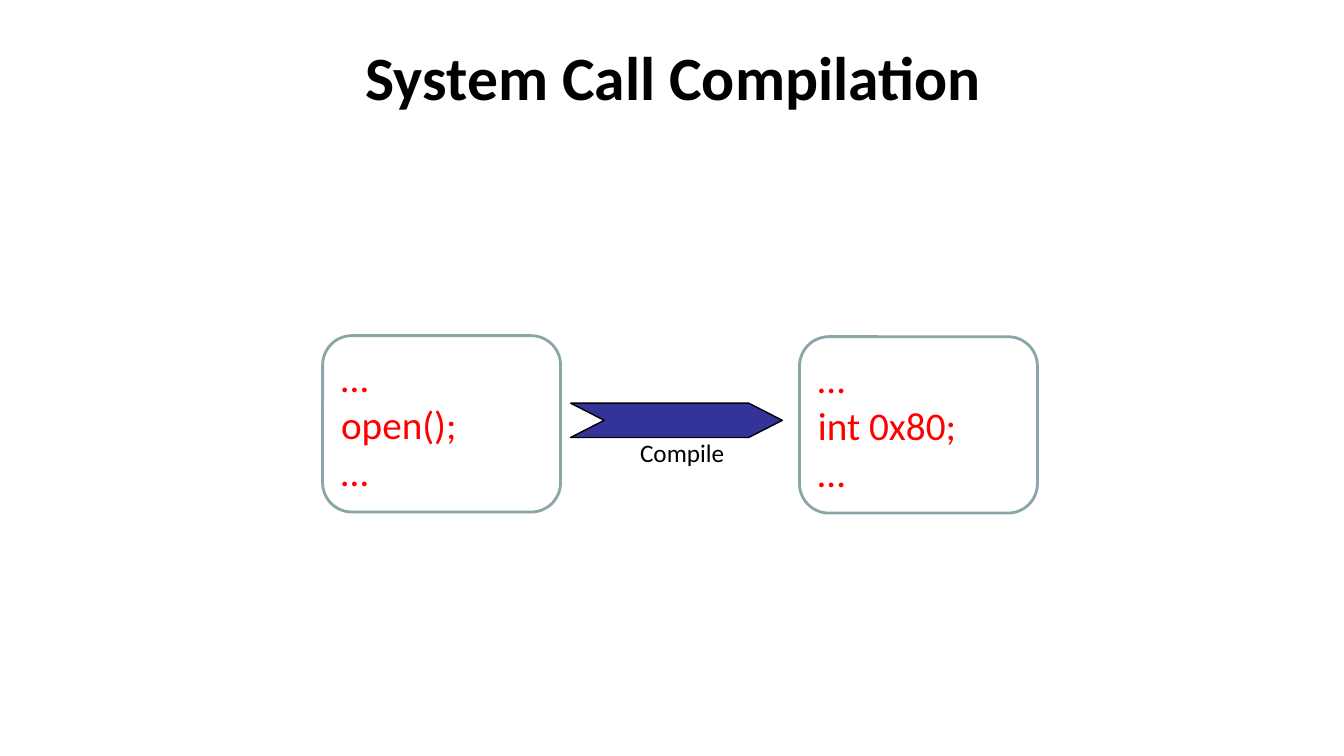
from pptx import Presentation
from pptx.dml.color import RGBColor
from pptx.enum.shapes import MSO_SHAPE
from pptx.enum.text import MSO_ANCHOR, MSO_AUTO_SIZE, PP_ALIGN
from pptx.util import Emu, Pt

ROUND, CHEVRON = MSO_SHAPE.ROUNDED_RECTANGLE, MSO_SHAPE.CHEVRON
TOP, MIDDLE = MSO_ANCHOR.TOP, MSO_ANCHOR.MIDDLE
LEFT, CENTER = PP_ALIGN.LEFT, PP_ALIGN.CENTER
FIT_SHAPE = MSO_AUTO_SIZE.SHAPE_TO_FIT_TEXT

PX = 9144  # 100 px to the inch
FONT = "Calibri"
COLORS = {"black": "000000", "code": "FF0000", "arrow": "333399", "frame": "8AA6A8"}


def px(*lengths):
    return [Emu(n * PX) for n in lengths]


def color(name):
    return RGBColor.from_string(COLORS[name])


class SlideBuilder:
    def __init__(self, prs):
        self.slide = prs.slides.add_slide(prs.slide_layouts[5])
        self.shapes = self.slide.shapes

    def set_text(self, sp, text, size, ink, align=LEFT, anchor=MIDDLE, bold=False):
        tf = sp.text_frame
        tf.text = text
        tf.vertical_anchor = anchor
        for p in tf.paragraphs:
            p.alignment = align
            for r in p.runs:
                r.font.name, r.font.size, r.font.bold = FONT, Pt(size), bold
                r.font.color.rgb = color(ink)

    def title(self, text, *box):
        sp = self.shapes.title
        sp.left, sp.top, sp.width, sp.height = px(*box)
        self.set_text(sp, text, 44, "black", CENTER, bold=True)

    def shape(self, kind, box, line, weight, fill=None):
        sp = self.shapes.add_shape(kind, *px(*box))
        sp.shadow.inherit = False
        if fill:
            sp.fill.solid()
            sp.fill.fore_color.rgb = color(fill)
        else:
            sp.fill.background()
        sp.line.color.rgb = color(line)
        sp.line.width = Pt(weight)
        return sp

    def code_box(self, text, *box):
        sp = self.shape(ROUND, box, "frame", 2)
        self.set_text(sp, text, 28, "code")

    def arrow(self, *box):
        sp = self.shape(CHEVRON, box, "black", 1, "arrow")
        sp.adjustments[0] = 0.98

    def label(self, text, *box):
        sp = self.shapes.add_textbox(*px(*box))
        self.set_text(sp, text, 18, "black", anchor=TOP)
        sp.text_frame.word_wrap = False
        sp.text_frame.auto_size = FIT_SHAPE


def main():
    prs = Presentation()
    prs.slide_width, prs.slide_height = px(1333, 750)
    s = SlideBuilder(prs)

    s.title("System Call Compilation", 68, 13, 1200, 125)

    # Compile step
    s.arrow(566, 400, 210, 34)
    s.label("Compile", 625, 429, 105, 40)

    # Code before and after
    s.code_box("…\nopen();\n…", 320, 333, 236, 175)
    s.code_box("…\nint 0x80;\n…", 793, 334, 236, 175)

    prs.save("out.pptx")


if __name__ == "__main__":
    main()
